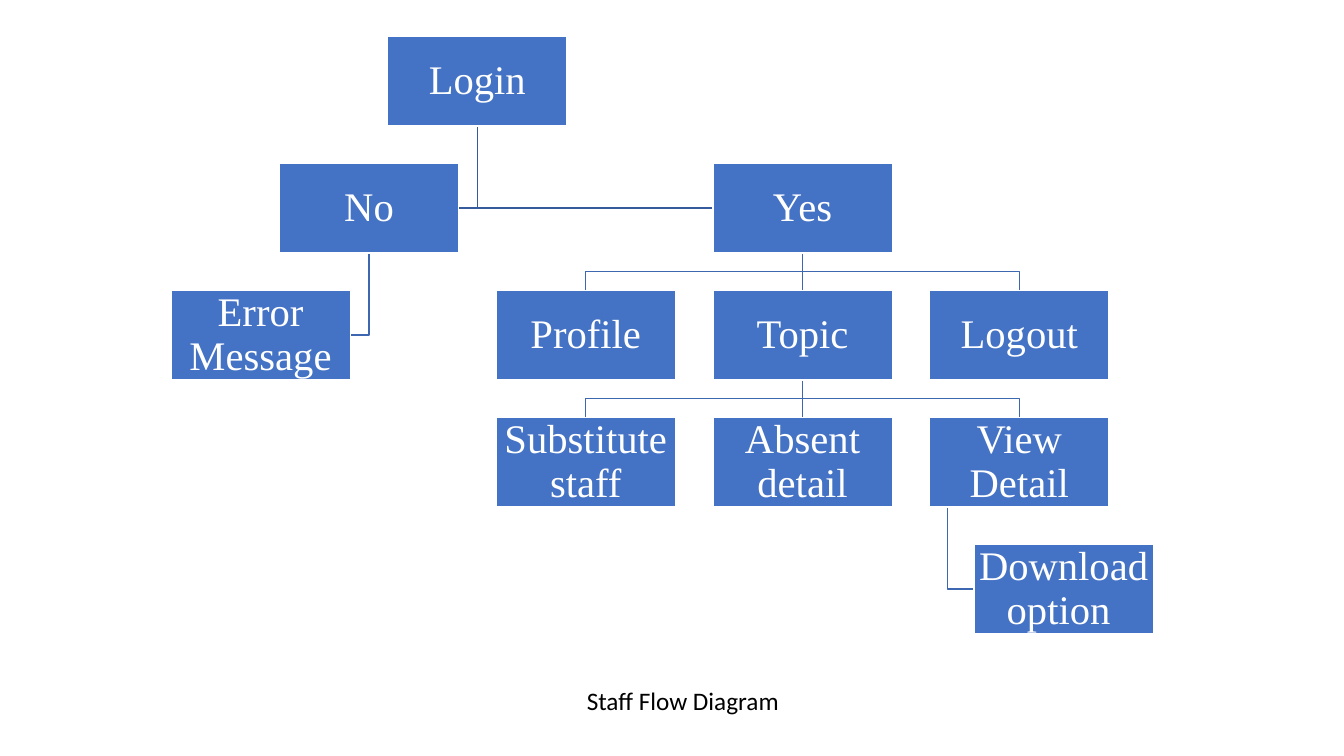
from dataclasses import dataclass

from lxml.etree import SubElement
from pptx import Presentation
from pptx.dml.color import RGBColor
from pptx.enum.shapes import MSO_CONNECTOR as Connector, MSO_SHAPE as Preset
from pptx.enum.text import MSO_ANCHOR as Anchor, PP_ALIGN as Align
from pptx.oxml.ns import qn
from pptx.util import Inches, Pt


@dataclass(frozen=True)
class Theme:
    box: RGBColor = RGBColor.from_string("4472C4")
    white: RGBColor = RGBColor.from_string("FFFFFF")
    black: RGBColor = RGBColor.from_string("000000")
    decision_link: RGBColor = RGBColor.from_string("365B9D")
    page_link: RGBColor = RGBColor.from_string("3E67B2")
    box_font: str = "Times New Roman"
    caption_font: str = "Calibri"
    box_size: int = 29
    caption_size: int = 18
    line_width: int = 1


# Grid of the tree, in inches
LEFT, TOP = 2.77, 0.36
COLUMN_STEP, ROW_STEP = 2.15, 1.26
BOX_W, BOX_H = 1.78, 0.89
DOWNLOAD_INDENT = 0.44

# Each step's column and row
STEPS = {
    "Login": (0.5, 0),
    "No": (0, 1),
    "Error Message": (-0.5, 2),
    "Yes": (2, 1),
    "Profile": (1, 2),
    "Topic": (2, 2),
    "Logout": (3, 2),
    "Substitute staff": (1, 3),
    "Absent detail": (2, 3),
    "View Detail": (3, 3),
    "Download option ": (3 + DOWNLOAD_INDENT / COLUMN_STEP, 4),
}
# Parents whose children hang below them on a shared bar
BRANCHES = {
    "Yes": ("Profile", "Topic", "Logout"),
    "Topic": ("Substitute staff", "Absent detail", "View Detail"),
}


def corner(step):
    column, row = STEPS[step]
    return LEFT + column * COLUMN_STEP, TOP + row * ROW_STEP


def bottom(step, share=0.5):
    x, y = corner(step)
    return x + share * BOX_W, y + BOX_H


def top(step):
    x, y = corner(step)
    return x + BOX_W / 2, y


def side(step, right=False):
    x, y = corner(step)
    return x + (BOX_W if right else 0), y + BOX_H / 2


def write(frame, text, *, font, size, color, align=Align.LEFT, spacing=1.0):
    paragraph = frame.paragraphs[0]
    paragraph.alignment = align
    paragraph.line_spacing = spacing
    run = paragraph.add_run()
    run.text = text
    run.font.name = font
    run.font.size = Pt(size)
    run.font.color.rgb = color


class FlowSlide:
    def __init__(self, slide, theme):
        self.shapes = slide.shapes
        self.theme = theme

    def outline(self, line, color):
        line.color.rgb = color
        line.width = Pt(self.theme.line_width)

    def elbow(self, points, color):
        start, *rest = [(Inches(x), Inches(y)) for x, y in points]
        builder = self.shapes.build_freeform(*start)
        builder.add_line_segments(rest, close=False)
        link = builder.convert_to_shape()
        link.fill.background()
        link.shadow.inherit = False
        self.outline(link.line, color)

    def straight(self, start, end, color):
        link = self.shapes.add_connector(
            Connector.STRAIGHT, *(Inches(v) for v in (*start, *end)))
        self.outline(link.line, color)
        SubElement(link._element.spPr, qn("a:effectLst"))
        return link

    def box(self, step):
        theme = self.theme
        box = self.shapes.add_shape(
            Preset.RECTANGLE, *(Inches(v) for v in (*corner(step), BOX_W, BOX_H)))
        box.shadow.inherit = False
        box.fill.solid()
        box.fill.fore_color.rgb = theme.box
        self.outline(box.line, theme.white)
        frame = box.text_frame
        frame.word_wrap = True
        frame.vertical_anchor = Anchor.MIDDLE
        frame.margin_left = frame.margin_right = Inches(0.02)
        frame.margin_top = frame.margin_bottom = Inches(0.02)
        write(frame, step, font=theme.box_font, size=theme.box_size,
              color=theme.white, align=Align.CENTER, spacing=0.9)
        return box

    def caption(self, text, left, y, width, height, indent):
        theme = self.theme
        frame = self.shapes.add_textbox(
            Inches(left), Inches(y), Inches(width), Inches(height)).text_frame
        frame.word_wrap = True
        frame.margin_left = Inches(indent)
        write(frame, text, font=theme.caption_font, size=theme.caption_size,
              color=theme.black)


def main():
    deck = Presentation()
    deck.slide_width, deck.slide_height = Inches(13.33), Inches(7.5)
    theme = Theme()
    flow = FlowSlide(deck.slides.add_slide(deck.slide_layouts[6]), theme)

    # Links to a side: down from the parent, then across
    side_links = (
        (bottom("Login"), side("No", right=True), theme.decision_link),
        (bottom("Login"), side("Yes"), theme.decision_link),
        (bottom("No"), side("Error Message", right=True), theme.page_link),
        (bottom("View Detail", share=0.1), side("Download option "), theme.page_link),
    )
    for start, end, color in side_links:
        flow.elbow((start, (start[0], end[1]), end), color)

    # Links to children below, bent halfway unless straight down
    trunks = []
    for parent, children in BRANCHES.items():
        start = bottom(parent)
        for child in children:
            end = top(child)
            if STEPS[child][0] == STEPS[parent][0]:
                trunks.append((flow.straight(start, end, theme.page_link), parent, child))
            else:
                bar = (start[1] + end[1]) / 2
                flow.elbow((start, (start[0], bar), (end[0], bar), end), theme.page_link)

    # Boxes over the links, then the straight links joined to them
    boxes = {step: flow.box(step) for step in STEPS}
    for link, parent, child in trunks:
        link.begin_connect(boxes[parent], 2)
        link.end_connect(boxes[child], 0)

    # Caption
    flow.caption("Staff Flow Diagram", 0.72, 6.75, 12.26, 0.4, indent=5.1)

    deck.save("out.pptx")


if __name__ == "__main__":
    main()
